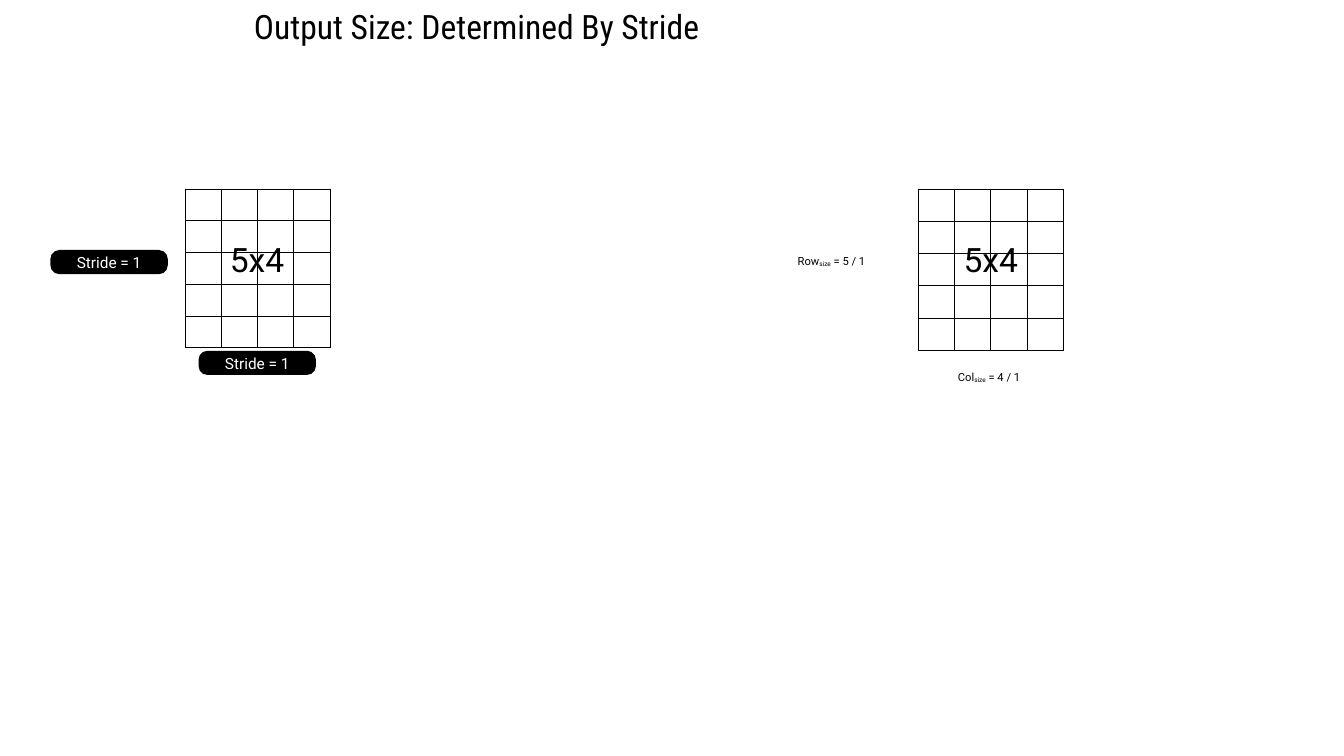
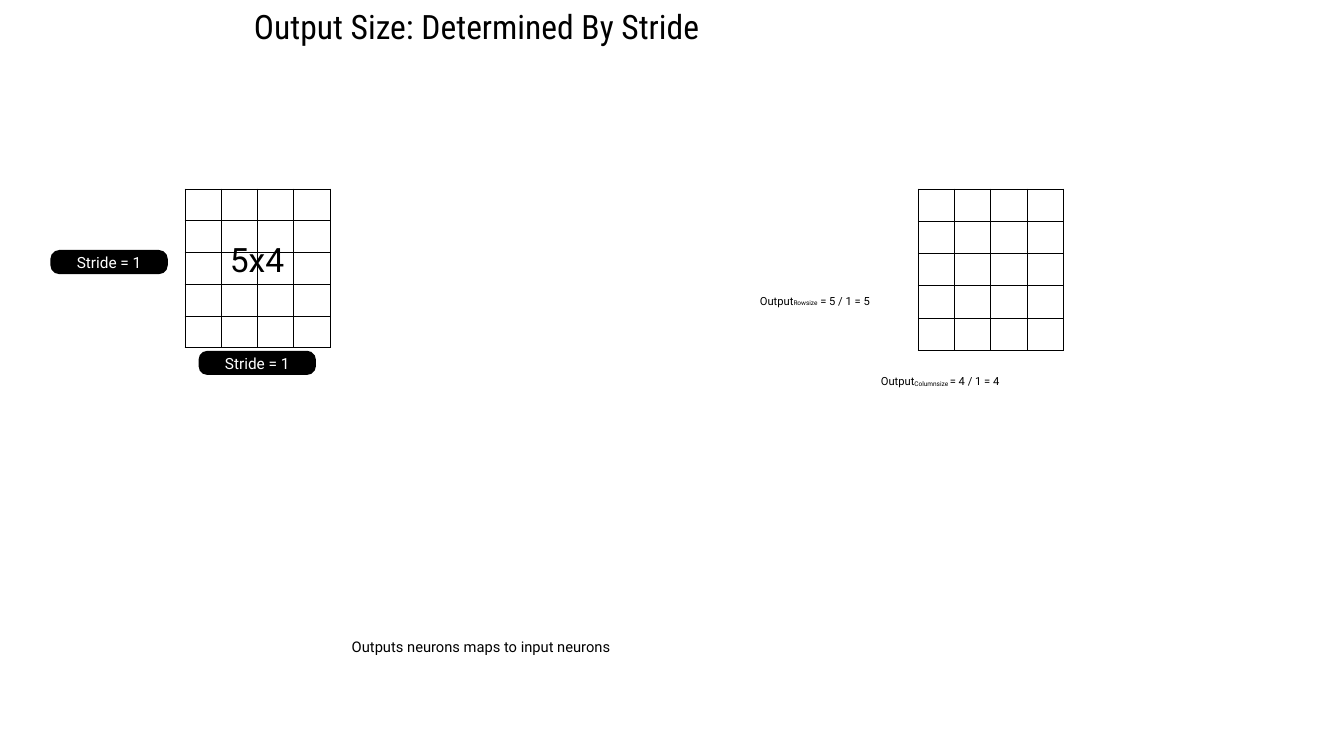
from lxml import etree
from pptx import Presentation
from pptx import util as u
from pptx.dml.color import RGBColor
from pptx.enum import shapes, text
from pptx.oxml.ns import qn

PX = 9144  # 100 px to the inch
BLACK = RGBColor(0, 0, 0)
WHITE = RGBColor(255, 255, 255)
BODY_FONT, TITLE_FONT = "Roboto", "Roboto Condensed"
ROWS, COLUMNS, CELL_WIDTH = 5, 4, 72
TITLE = "Output Size: Determined By Stride"


def write_text(box, content, size=16, font=BODY_FONT, color=BLACK, align=text.PP_ALIGN.LEFT,
               wrap=False, spacing=0.9):
    """Fill a box; every second piece of text between "|" marks is a subscript."""
    frame = box.text_frame
    frame.margin_left = frame.margin_right = frame.margin_top = frame.margin_bottom = 6 * PX
    frame.vertical_anchor = text.MSO_ANCHOR.MIDDLE
    frame.word_wrap = wrap
    frame.auto_size = text.MSO_AUTO_SIZE.NONE if wrap else text.MSO_AUTO_SIZE.SHAPE_TO_FIT_TEXT
    para = frame.paragraphs[0]
    para.alignment = align
    para.line_spacing = spacing
    para.space_before = u.Pt(0)
    for index, piece in enumerate(content.split("|")):
        span = para.add_run()
        span.text = piece
        span.font.name = font
        span.font.size = u.Pt(size)
        span.font.color.rgb = color
        if index % 2:
            span.font._element.set("baseline", "-6000")


def add_grid(page, left, top, row_height):
    """Draw an empty table with thin black lines."""
    table = page.shapes.add_table(ROWS, COLUMNS, left * PX, top * PX, COLUMNS * CELL_WIDTH * PX,
                                  ROWS * row_height * PX).table
    table.first_row = table.horz_banding = False
    for cell in table.iter_cells():
        cell.fill.background()
        properties = cell._tc.get_or_add_tcPr()
        for position, side in enumerate(("a:lnL", "a:lnR", "a:lnT", "a:lnB")):
            line = etree.Element(qn(side), w=str(u.Pt(1)))
            fill = etree.SubElement(line, qn("a:solidFill"))
            etree.SubElement(fill, qn("a:srgbClr"), val=str(BLACK))
            properties.insert(position, line)


deck = Presentation()
deck.slide_width, deck.slide_height = 2667 * PX, 1500 * PX

# Labels of each slide: text, size, left, top, width, height
slide_labels = [
    [("5x4", 48, 1906, 476, 121, 88),
     ("Row|size| = 5 / 1", 16, 1577, 502, 153, 35),
     ("Col|size| = 4 / 1", 16, 1895, 732, 142, 35)],
    [("Output|Rowsize| = 5 / 1 = 5", 16, 1502, 581, 245, 35),
     ("Output|Columnsize |= 4 / 1 = 4", 16, 1742, 740, 265, 35),
     ("Outputs neurons maps to input neurons", 21, 692, 1262, 531, 45)],
]

for labels in slide_labels:
    page = deck.slides.add_slide(deck.slide_layouts[5])

    # Title
    title = page.shapes.title
    title.left, title.top, title.width, title.height = 498 * PX, 10 * PX, 919 * PX, 92 * PX
    write_text(title, TITLE, size=48, font=TITLE_FONT)

    # Input and output grids
    add_grid(page, 367, 375, 63)
    add_grid(page, 1822, 375, 64)

    # Stride badges beside and below the input
    for left, top in ((100, 496), (394, 696)):
        badge = page.shapes.add_shape(shapes.MSO_SHAPE.ROUNDED_RECTANGLE, left * PX, top * PX,
                                      233 * PX, 48 * PX)
        badge.adjustments[0] = 0.37
        badge.shadow.inherit = False
        badge.fill.solid()
        badge.fill.fore_color.rgb = BLACK
        badge.line.fill.background()
        write_text(badge, "Stride = 1", size=22, color=WHITE, align=text.PP_ALIGN.CENTER,
                   wrap=True, spacing=1.0)

    # Input size and the labels of this slide
    for content, size, *frame in [("5x4", 48, 450, 476, 121, 88)] + labels:
        box = page.shapes.add_textbox(*(length * PX for length in frame))
        write_text(box, content, size=size)

deck.save("out.pptx")
